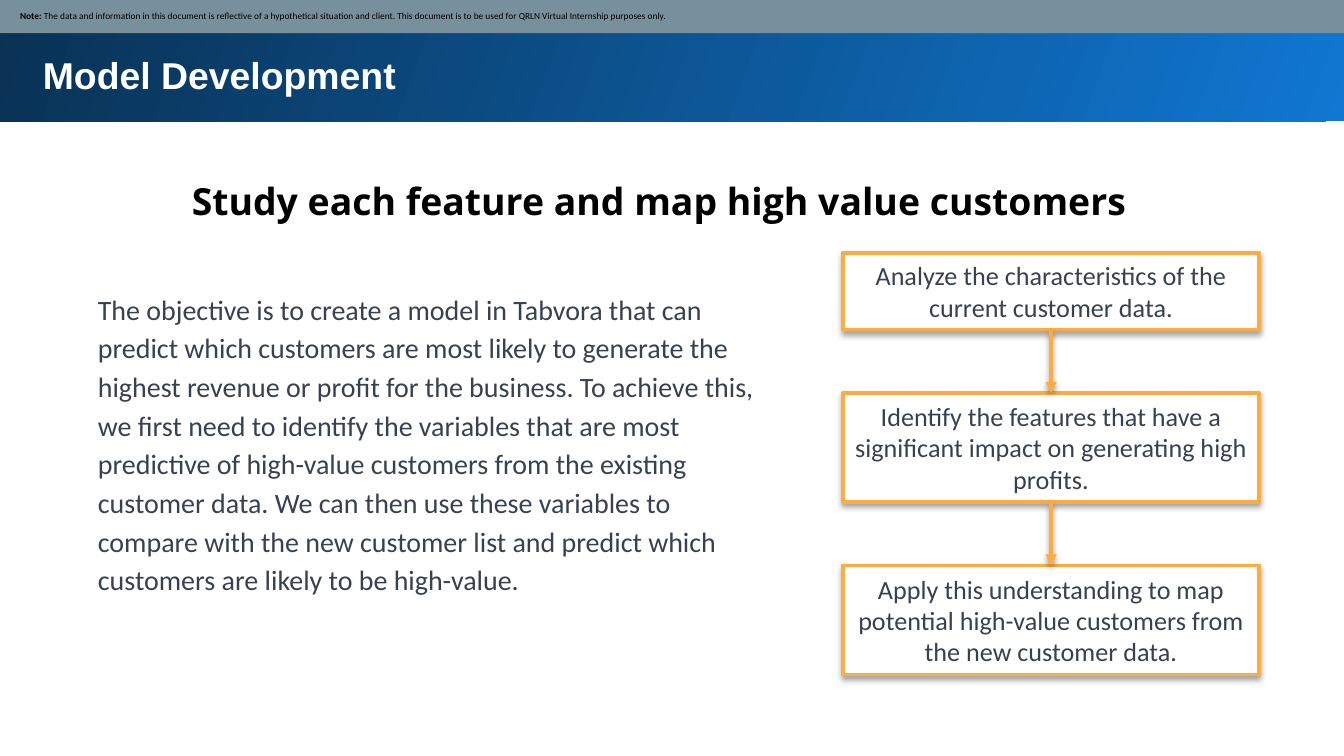
from lxml import etree
from pptx import Presentation
from pptx import util as u
from pptx.dml import color
from pptx.enum import shapes, text
from pptx.oxml import ns

WHITE = color.RGBColor(0xFF, 0xFF, 0xFF)
BLACK = color.RGBColor(0x00, 0x00, 0x00)
SLATE = color.RGBColor(0x37, 0x41, 0x51)
STEEL = color.RGBColor(0x78, 0x90, 0x9C)
ORANGE = color.RGBColor(0xFF, 0xAB, 0x40)
BRIGHT_BLUE = color.RGBColor(0x10, 0x77, 0xD2)
DEEP_BLUE = color.RGBColor(0x09, 0x31, 0x53)

TITLE = {"name": "Arial", "size": u.Pt(20), "bold": True}
HEADLINE = {"name": "Open Sans", "size": u.Pt(20), "bold": True}
BODY = {"name": "Calibri", "size": u.Pt(15), "bold": False}
STEP = {"name": "Calibri", "size": u.Pt(14), "bold": False}
NOTE_LABEL = {"name": "Calibri", "size": u.Pt(5), "bold": True}
NOTE = {**NOTE_LABEL, "bold": False}

OBJECTIVE = (
    "The objective is to create a model in Tabvora that can predict which customers "
    "are most likely to generate the highest revenue or profit for the business. To "
    "achieve this, we first need to identify the variables that are most predictive of "
    "high-value customers from the existing customer data. We can then use these "
    "variables to compare with the new customer list and predict which customers are "
    "likely to be high-value."
)
DISCLAIMER = (
    "The data and information in this document is reflective of a hypothetical "
    "situation and client. This document is to be used for QRLN Virtual Internship "
    "purposes only."
)
STEPS = [
    ("Analyze the characteristics of the current customer data.", 1.45),
    ("Identify the features that have a significant impact on generating high profits.", 2.06),
    ("Apply this understanding to map potential high-value customers from the new "
     "customer data.", 2.06),
]
STEP_LEFT, STEP_TOP, STEP_WIDTH, STEP_GAP = 15.93, 4.78, 7.87, 1.2
TOP_SIDE, BOTTOM_SIDE = 0, 2


def apply(target, values):
    for name, value in values.items():
        setattr(target, name, value)


def place(shape, left, top, width, height):
    apply(shape, {"left": u.Cm(left), "top": u.Cm(top),
                  "width": u.Cm(width), "height": u.Cm(height)})


def write(shape, runs, ink, align=text.PP_ALIGN.LEFT, spacing=1.0,
          anchor=text.MSO_ANCHOR.TOP, inset=0.25):
    frame = shape.text_frame
    margins = {f"margin_{side}": u.Cm(inset) for side in ("left", "top", "right", "bottom")}
    apply(frame, {**margins, "word_wrap": True, "vertical_anchor": anchor,
                  "auto_size": text.MSO_AUTO_SIZE.NONE})
    paragraph = frame.paragraphs[0]
    apply(paragraph, {"alignment": align, "line_spacing": spacing,
                      "space_before": u.Pt(0)})
    for words, style in runs:
        run = paragraph.add_run()
        run.text = words
        apply(run.font, style)
        run.font.color.rgb = ink


def remove_bullet(shape):
    properties = shape.text_frame.paragraphs[0]._p.get_or_add_pPr()
    apply_xml = {"marL": "0", "indent": "0"}
    for name, value in apply_xml.items():
        properties.set(name, value)
    etree.SubElement(properties, ns.qn("a:buNone"))


def cast_shadow(shape, opacity, distance):
    properties = shape.element.spPr
    effects = properties.find(ns.qn("a:effectLst"))
    if effects is None:
        effects = etree.SubElement(properties, ns.qn("a:effectLst"))
    shadow = etree.SubElement(effects, ns.qn("a:outerShdw"), blurRad=str(u.Pt(3)),
                              dist=str(u.Pt(distance)), dir="5400000",
                              algn="bl", rotWithShape="0")
    tint = etree.SubElement(shadow, ns.qn("a:srgbClr"), val=str(BLACK))
    etree.SubElement(tint, ns.qn("a:alpha"), val=str(opacity * 1000))


def add_box(slide, bounds):
    box = slide.shapes.add_shape(shapes.MSO_SHAPE.RECTANGLE, 0, 0, 0, 0)
    place(box, *bounds)
    box.shadow.inherit = False
    box.line.fill.background()
    return box


def add_title_band(slide):
    band = add_box(slide, (-0.05, -0.05, 25.53, 2.34))
    band.fill.gradient()
    band.fill.gradient_angle = 160
    for stop, ink, position in zip(band.fill.gradient_stops,
                                   (BRIGHT_BLUE, DEEP_BLUE), (0, 1)):
        stop.color.rgb = ink
        stop.position = position
    band.element.getparent().insert(2, band.element)


def add_note_strip(slide):
    strip = add_box(slide, (-0.03, -0.03, 25.48, 0.66))
    strip.fill.solid()
    strip.fill.fore_color.rgb = STEEL
    write(strip, [("Note: ", NOTE_LABEL), (DISCLAIMER, NOTE)], BLACK,
          anchor=text.MSO_ANCHOR.MIDDLE, inset=0.13)
    strip.text_frame.margin_left = u.Cm(0.41)


def add_step(slide, words, top, height):
    step = add_box(slide, (STEP_LEFT, top, STEP_WIDTH, height))
    step.fill.solid()
    step.fill.fore_color.rgb = WHITE
    step.line.color.rgb = ORANGE
    step.line.width = u.Pt(2)
    cast_shadow(step, 35, 1.8)
    write(step, [(words, STEP)], SLATE, text.PP_ALIGN.CENTER,
          anchor=text.MSO_ANCHOR.MIDDLE, inset=0.13)
    return step


def add_arrow(slide, source, target):
    arrow = slide.shapes.add_connector(shapes.MSO_CONNECTOR.STRAIGHT, 0, 0, 0, 0)
    arrow.begin_connect(source, BOTTOM_SIDE)
    arrow.end_connect(target, TOP_SIDE)
    arrow.line.color.rgb = ORANGE
    arrow.line.width = u.Pt(2)
    etree.SubElement(arrow.element.spPr.find(ns.qn("a:ln")), ns.qn("a:tailEnd"),
                     type="triangle")
    cast_shadow(arrow, 38, 1.6)


def add_flow(slide):
    top, steps = STEP_TOP, []
    for words, height in STEPS:
        steps.append(add_step(slide, words, top, height))
        top += height + STEP_GAP
    for source, target in zip(steps, steps[1:]):
        add_arrow(slide, source, target)


def main():
    deck = Presentation()
    apply(deck, {"slide_width": u.Cm(25.4), "slide_height": u.Cm(14.29)})
    slide = deck.slides.add_slide(deck.slide_layouts[1])

    add_title_band(slide)
    title, objective = slide.placeholders
    place(title, 0.56, 0.74, 23.8, 1.3)
    write(title, [("Model Development", TITLE)], WHITE)

    headline = slide.shapes.add_textbox(0, 0, 0, 0)
    place(headline, 0.56, 3, 23.8, 1.42)
    write(headline, [("Study each feature and map high value customers", HEADLINE)],
          BLACK, text.PP_ALIGN.CENTER, 1.15)

    place(objective, 1.6, 5.18, 13.16, 6.38)
    write(objective, [(OBJECTIVE, BODY)], SLATE, spacing=1.15)
    remove_bullet(objective)

    add_note_strip(slide)
    add_flow(slide)
    deck.save("out.pptx")


if __name__ == "__main__":
    main()
